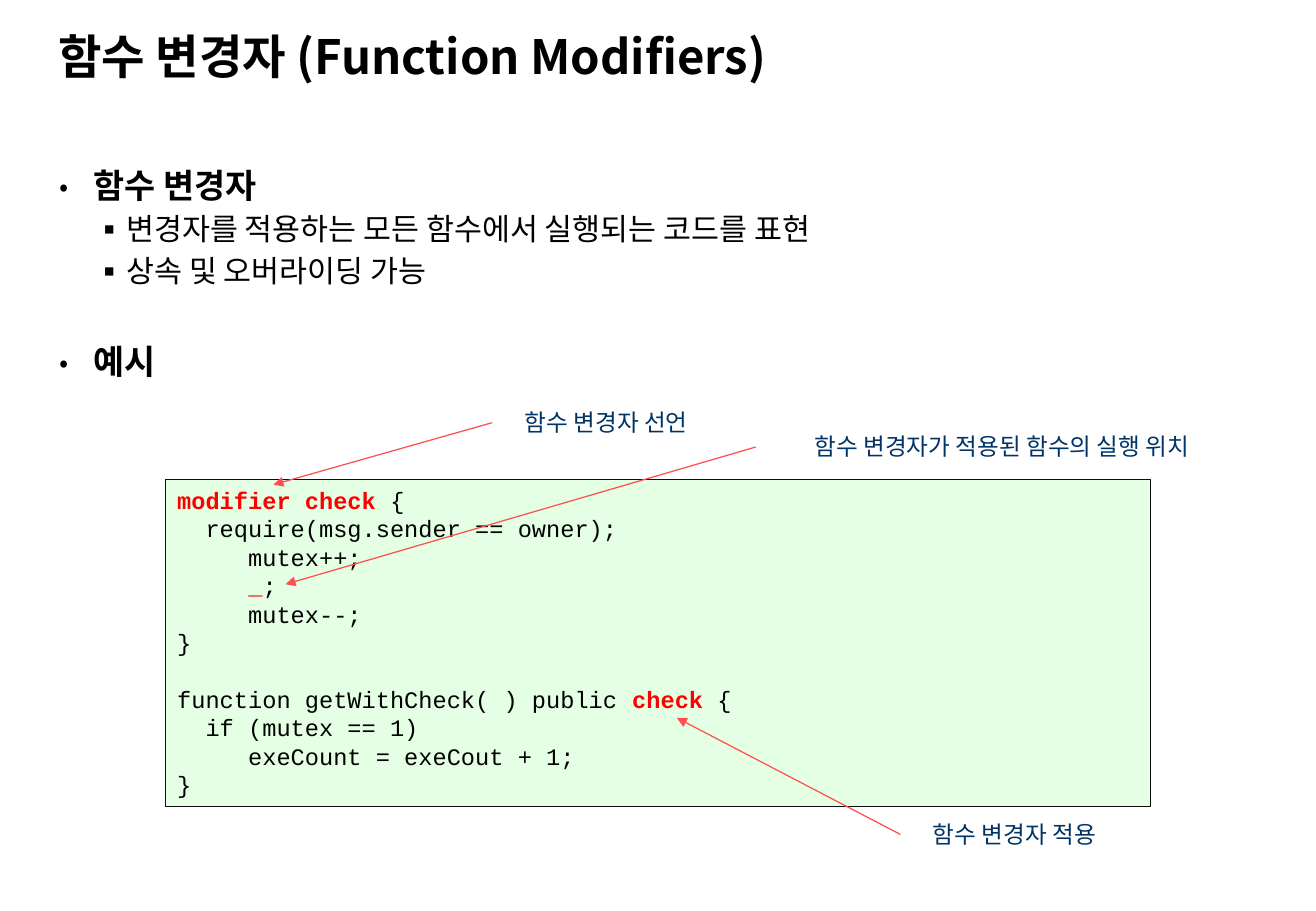
import pptx
import pptx.util
import pptx.dml.color
import pptx.enum.shapes
import pptx.enum.text
import pptx.oxml
import pptx.oxml.ns

Inches = pptx.util.Inches
Pt = pptx.util.Pt
RGBColor = pptx.dml.color.RGBColor
PP_ALIGN = pptx.enum.text.PP_ALIGN
MSO_ANCHOR = pptx.enum.text.MSO_ANCHOR

BLACK = RGBColor(0x00, 0x00, 0x00)
RED = RGBColor(0xFF, 0x00, 0x00)
NAVY = RGBColor(0x00, 0x33, 0x66)
ARROW_RED = RGBColor(0xFF, 0x50, 0x50)
CODE_GREEN = RGBColor(0xE5, 0xFF, 0xE5)
CODE_BORDER = RGBColor(0x0D, 0x0D, 0x0D)
SANS, MONO = "Noto Sans CJK KR", "Courier New"

# Content
TITLE = "함수 변경자 (Function Modifiers)"
# level, text, space before in points
BULLETS = [
    (0, "함수 변경자", 0),
    (1, "변경자를 적용하는 모든 함수에서 실행되는 코드를 표현", 1),
    (1, "상속 및 오버라이딩 가능", 1),
    (0, "예시", 28.5),
]
# size, bold, left margin, hanging indent, bullet, bullet size in percent
LEVELS = [(20, True, 0.28, 0.28, "•", 80), (18, False, 0.55, 0.26, "▪", 100)]

# Blocks of code lines; each line is a list of (text, highlighted)
CODE = [
    [
        [("modifier check ", True), ("{", False)],
        [("  require(msg.sender == owner);", False)],
        [("     mutex++;", False)],
        [("     ", False), ("_", True), (";", False)],
        [("     mutex--;", False)],
        [("}", False)],
    ],
    [
        [("function getWithCheck( ) public ", False), ("check", True), (" {", False)],
        [("  if (mutex == 1)", False)],
        [("     exeCount = exeCout + 1;", False)],
        [("}", False)],
    ],
]
CODE_PITCH = 16.85

# text, label left, top, width, arrow tip
LABELS = [
    ("함수 변경자 적용", 7.41, 6.7, 1.71, (5.57, 5.91)),
    ("함수 변경자가 적용된 함수의 실행 위치", 6.22, 3.51, 3.67, (2.35, 4.81)),
    ("함수 변경자 선언", 4.05, 3.31, 1.71, (2.25, 3.99)),
]
LABEL_H = 0.34


def add_xml(parent, tag, **attrs):
    el = pptx.oxml.parse_xml(f"<a:{tag} {pptx.oxml.ns.nsdecls('a')}/>")
    for key, value in attrs.items():
        el.set(key, value)
    parent.append(el)


def add_run(p, text, size, color, bold=False, font=SANS):
    r = p.add_run()
    r.text = text
    r.font.size, r.font.bold, r.font.name = Pt(size), bold, font
    r.font.color.rgb = color
    add_xml(r.font._element, "ea", typeface=font)


def place(sp, left, top, width, height):
    sp.left, sp.top = Inches(left), Inches(top)
    sp.width, sp.height = Inches(width), Inches(height)


def set_frame(tf, anchor=MSO_ANCHOR.TOP):
    tf.word_wrap = True
    tf.auto_size = pptx.enum.text.MSO_AUTO_SIZE.NONE
    tf.vertical_anchor = anchor


def next_paragraph(tf, first):
    return tf.paragraphs[0] if first else tf.add_paragraph()


prs = pptx.Presentation()
prs.slide_width, prs.slide_height = Inches(10.83), Inches(7.5)
s = prs.slides.add_slide(prs.slide_layouts[1])

# Title
title = s.shapes.title
place(title, 0.38, 0.13, 9.75, 0.66)
set_frame(title.text_frame, MSO_ANCHOR.MIDDLE)
p = title.text_frame.paragraphs[0]
p.alignment = PP_ALIGN.LEFT
add_run(p, TITLE, 28, BLACK, True)

# Bullet list
body = s.placeholders[1]
place(body, 0.39, 1.27, 10.05, 5.6)
set_frame(body.text_frame)
for i, (level, text, before) in enumerate(BULLETS):
    size, bold, margin, hanging, bullet, percent = LEVELS[level]
    p = next_paragraph(body.text_frame, i == 0)
    p.level = level
    p.line_spacing, p.space_before = 1.1, Pt(before)
    pPr = p._p.get_or_add_pPr()
    pPr.set("marL", str(Inches(margin)))
    pPr.set("indent", str(-Inches(hanging)))
    add_xml(pPr, "buSzPct", val=str(percent * 1000))
    add_xml(pPr, "buFont", typeface=SANS)
    add_xml(pPr, "buChar", char=bullet)
    add_run(p, text, size, BLACK, bold)

# Code box
sp = s.shapes.add_shape(pptx.enum.shapes.MSO_SHAPE.RECTANGLE,
                        Inches(1.36), Inches(3.95), Inches(8.11), Inches(2.69))
sp.shadow.inherit = False
sp.fill.solid()
sp.fill.fore_color.rgb = CODE_GREEN
sp.line.color.rgb = CODE_BORDER
sp.line.width = Pt(0.75)
set_frame(sp.text_frame)
for b, block in enumerate(CODE):
    for i, line in enumerate(block):
        p = next_paragraph(sp.text_frame, b == 0 and i == 0)
        p.alignment = PP_ALIGN.LEFT
        p.line_spacing = Pt(CODE_PITCH)
        if b > 0 and i == 0:
            p.space_before = Pt(CODE_PITCH)
        for text, marked in line:
            add_run(p, text, 14, RED if marked else BLACK, marked, MONO)

# Labels with arrows into the code
for text, left, top, width, (tip_x, tip_y) in LABELS:
    label = s.shapes.add_textbox(Inches(left), Inches(top), Inches(width), Inches(LABEL_H))
    set_frame(label.text_frame)
    p = label.text_frame.paragraphs[0]
    p.alignment = PP_ALIGN.RIGHT
    add_run(p, text, 14, NAVY)

    arrow = s.shapes.add_connector(
        pptx.enum.shapes.MSO_CONNECTOR.STRAIGHT,
        Inches(left), Inches(top + LABEL_H / 2), Inches(tip_x), Inches(tip_y))
    arrow.begin_connect(label, 1)
    arrow.line.color.rgb = ARROW_RED
    arrow.line.width = Pt(0.75)
    add_xml(arrow.line._get_or_add_ln(), "tailEnd", type="triangle")
    add_xml(arrow._element.spPr, "effectLst")

prs.save("out.pptx")
